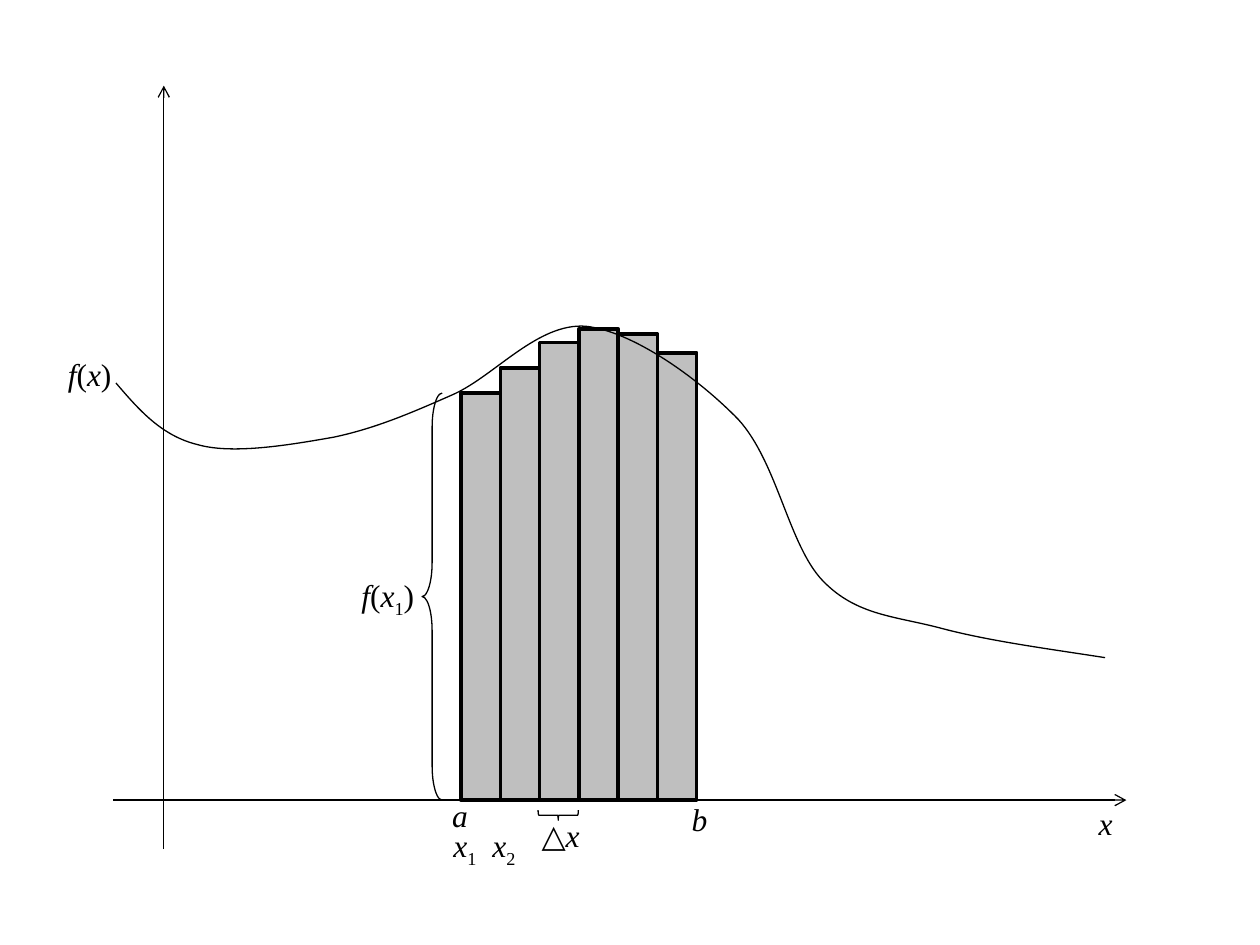
from pptx import Presentation
from pptx.dml.color import RGBColor
from pptx.enum.shapes import MSO_CONNECTOR as CONNECTOR, MSO_SHAPE as SHAPE
from pptx.enum.text import MSO_AUTO_SIZE as AUTO_SIZE
from pptx.oxml.ns import qn
from pptx.util import Inches, Pt
from lxml.etree import SubElement

BLACK = RGBColor(0x00, 0x00, 0x00)
GRAY = RGBColor(0xBF, 0xBF, 0xBF)
FONT = "Times New Roman"

BASELINE = 6.35
BARS_LEFT, BARS_RIGHT = 3.66, 5.53
BAR_TOPS = [3.12, 2.92, 2.72, 2.61, 2.65, 2.8]
BAR_WIDTH = (BARS_RIGHT - BARS_LEFT) / len(BAR_TOPS)

# Start point, then two control points and an end point for each curve piece
CURVE_POINTS = [
    (0.92, 3.04),
    (1.1, 3.25), (1.28, 3.46), (1.57, 3.53),
    (1.85, 3.61), (2.31, 3.53), (2.65, 3.47),
    (2.98, 3.4), (3.26, 3.28), (3.6, 3.13),
    (3.93, 2.98), (4.27, 2.56), (4.65, 2.59),
    (5.02, 2.63), (5.54, 3), (5.86, 3.33),
    (6.17, 3.67), (6.26, 4.33), (6.53, 4.61),
    (6.8, 4.89), (7.11, 4.89), (7.48, 4.99),
    (7.86, 5.09), (8.32, 5.15), (8.77, 5.22),
]

# Left, top, width, height and runs; each run is text with its style
LABELS = [
    (0.44, 2.77, 0.56, 0.4, [("f", "italic"), ("(", ""), ("x", "italic"), (")", "")]),
    (2.77, 4.52, 0.64, 0.44,
     [("f", "italic"), ("(", ""), ("x", "italic"), ("1", "sub"), (")", "")]),
    (3.49, 6.27, 0.33, 0.4, [("a", "italic")]),
    (5.39, 6.3, 0.33, 0.4, [("b", "italic")]),
    (4.2, 6.43, 0.52, 0.4, [("△x", "italic")]),
    (3.5, 6.51, 0.4, 0.44, [("x", "italic"), ("1", "sub")]),
    (3.81, 6.51, 0.4, 0.44, [("x", "italic"), ("2", "sub")]),
    (8.62, 6.33, 0.32, 0.4, [("x", "italic")]),
]


def set_outline(shape, width):
    shape.line.color.rgb = BLACK
    shape.line.width = Pt(width)


def add_axis(slide, start, end):
    axis = slide.shapes.add_connector(
        CONNECTOR.STRAIGHT, *(Inches(value) for value in (*start, *end)))
    set_outline(axis, 0.75)
    SubElement(axis.line._get_or_add_ln(), qn("a:tailEnd"), type="arrow")
    SubElement(axis._element.spPr, qn("a:effectLst"))


def add_axes(slide, left, top, width, height):
    """Draw both axes, crossing near the lower left corner of the box."""
    origin_x = left + 0.4
    add_axis(slide, (origin_x, top + height), (origin_x, top))
    add_axis(slide, (left, BASELINE), (left + width, BASELINE))


def add_bars(slide, left, bottom, bar_width):
    for index, top in enumerate(BAR_TOPS):
        bar = slide.shapes.add_shape(
            SHAPE.RECTANGLE, Inches(left + index * bar_width), Inches(top),
            Inches(bar_width), Inches(bottom - top))
        bar.shadow.inherit = False
        bar.fill.solid()
        bar.fill.fore_color.rgb = GRAY
        set_outline(bar, 2)


def add_curve(slide, points):
    """Draw a freeform whose points are joined by cubic Bézier pieces."""
    start, *rest = [(Inches(x), Inches(y)) for x, y in points]
    builder = slide.shapes.build_freeform(*start)
    builder.add_line_segments(rest, close=False)
    curve = builder.convert_to_shape()
    curve.shadow.inherit = False
    curve.fill.background()
    set_outline(curve, 0.75)

    outline = next(curve._element.iter(qn("a:path")))
    lines = outline.findall(qn("a:lnTo"))
    for first in range(0, len(lines), 3):
        piece = SubElement(outline, qn("a:cubicBezTo"))
        for line in lines[first:first + 3]:
            piece.append(line[0])
            outline.remove(line)


def add_brace(slide, kind, left, top, width, height, curl, rotation=0):
    brace = slide.shapes.add_shape(
        kind, Inches(left), Inches(top), Inches(width), Inches(height))
    brace.adjustments[0] = curl
    brace.rotation = rotation
    brace.shadow.inherit = False
    brace.fill.background()
    set_outline(brace, 0.75)


def add_label(slide, left, top, width, height, runs):
    box = slide.shapes.add_textbox(
        Inches(left), Inches(top), Inches(width), Inches(height))
    frame = box.text_frame
    frame.word_wrap = False
    frame.auto_size = AUTO_SIZE.SHAPE_TO_FIT_TEXT
    paragraph = frame.paragraphs[0]
    for text, style in runs:
        run = paragraph.add_run()
        run.text = text
        run.font.italic = style == "italic"
        if style == "sub":
            run._r.get_or_add_rPr().set("baseline", "-25000")
    paragraph.font.name = FONT
    paragraph.font.size = Pt(18)
    paragraph.font.color.rgb = BLACK


def add_riemann_sum(slide):
    add_axes(slide, 0.9, 0.68, 8.04, 6.06)
    add_bars(slide, BARS_LEFT, BASELINE, BAR_WIDTH)
    add_curve(slide, CURVE_POINTS)
    add_brace(slide, SHAPE.LEFT_BRACE, 3.35, BAR_TOPS[0], 0.16,
              BASELINE - BAR_TOPS[0], curl=1.7)
    add_brace(slide, SHAPE.RIGHT_BRACE, 4.39, 6.31, 0.08, 0.32,
              curl=0.08, rotation=90)
    for label in LABELS:
        add_label(slide, *label)


def main():
    presentation = Presentation()
    presentation.slide_width = Inches(10)
    presentation.slide_height = Inches(7.5)
    slide = presentation.slides.add_slide(presentation.slide_layouts[6])
    add_riemann_sum(slide)
    presentation.save("out.pptx")


if __name__ == "__main__":
    main()
